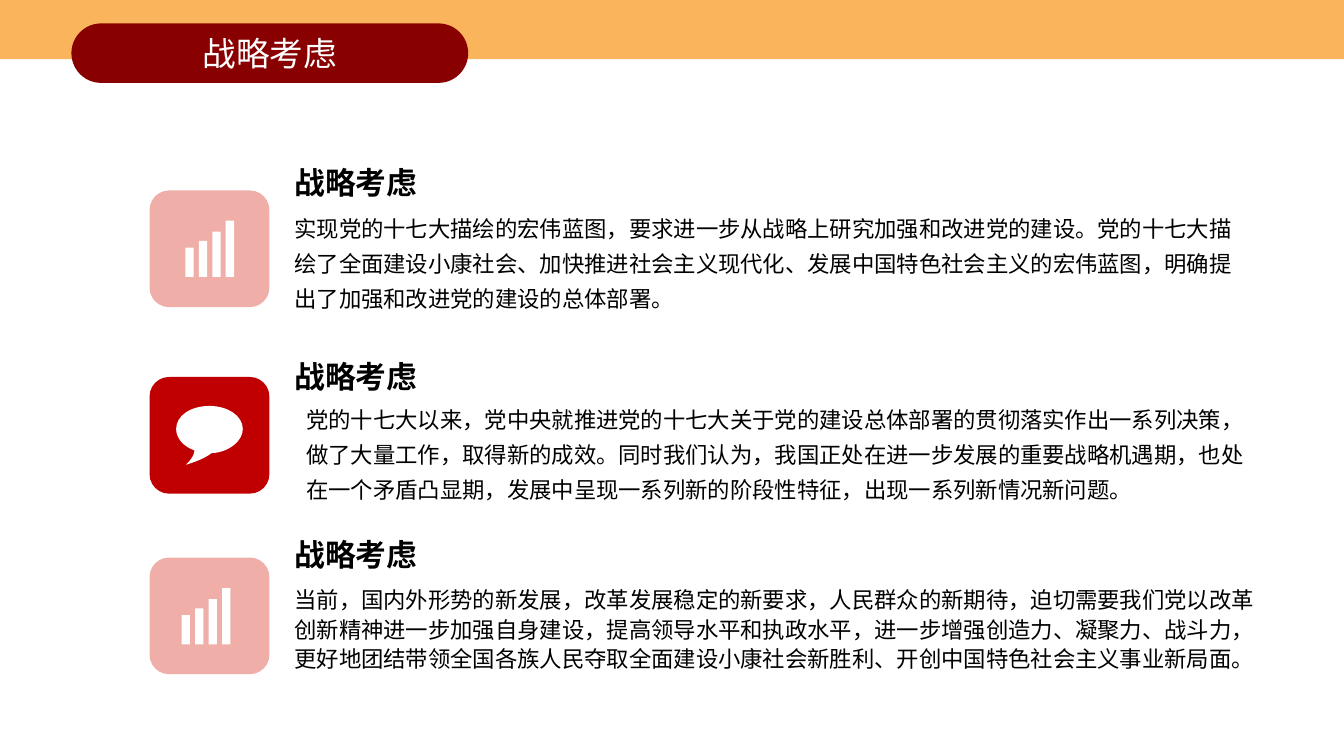
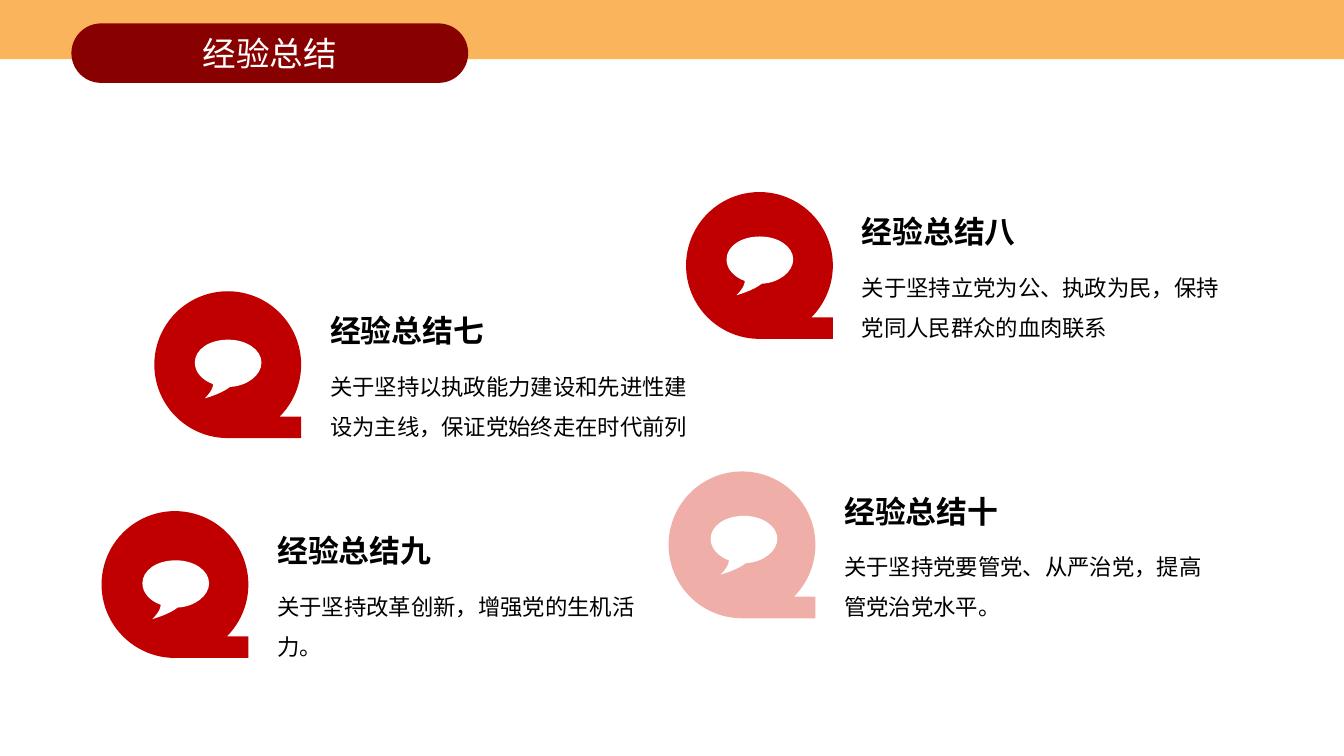
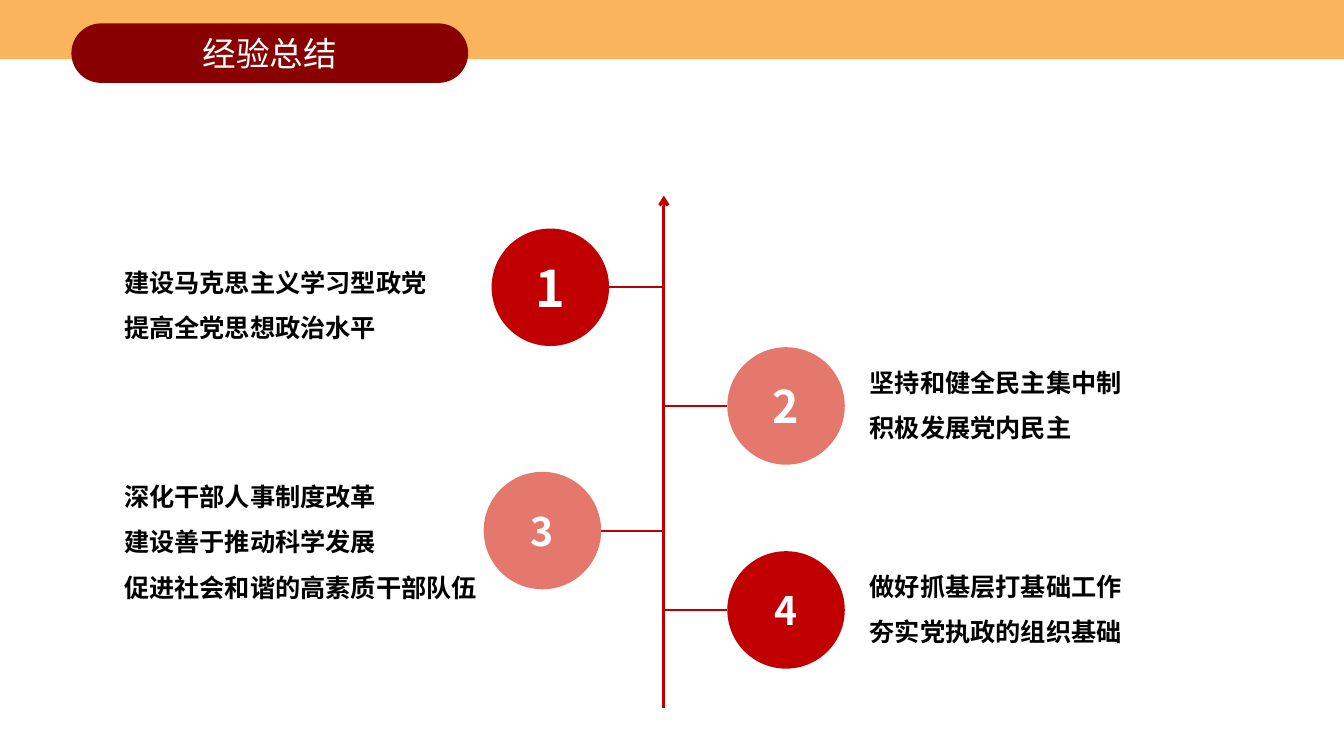
from dataclasses import dataclass

from lxml import etree
from pptx import Presentation
from pptx.dml.color import RGBColor
from pptx.enum.shapes import MSO_CONNECTOR, MSO_SHAPE
from pptx.enum.text import MSO_ANCHOR, MSO_AUTO_SIZE, PP_ALIGN
from pptx.oxml.ns import qn
from pptx.util import Cm, Pt

RECTANGLE = MSO_SHAPE.RECTANGLE
ROUNDED = MSO_SHAPE.ROUNDED_RECTANGLE
OVAL = MSO_SHAPE.OVAL
TAPE = MSO_SHAPE.FLOWCHART_SEQUENTIAL_ACCESS_STORAGE
STRAIGHT = MSO_CONNECTOR.STRAIGHT
LEFT, CENTER = PP_ALIGN.LEFT, PP_ALIGN.CENTER
TOP, MIDDLE = MSO_ANCHOR.TOP, MSO_ANCHOR.MIDDLE
FIT = MSO_AUTO_SIZE.SHAPE_TO_FIT_TEXT


@dataclass(frozen=True)
class Theme:
    font: str = "Noto Sans CJK SC"
    band: str = "F9B45C"
    title_pill: str = "890000"
    red: str = "C00000"
    coral: str = "E4786C"
    pink: str = "EFAEA7"
    white: str = "FFFFFF"
    black: str = "000000"
    title: int = 24
    heading: int = 22
    label: int = 18
    body: int = 16


theme = Theme()


def add_block(slide, preset, left, top, width, height, color):
    shape = slide.shapes.add_shape(preset, Cm(left), Cm(top), Cm(width), Cm(height))
    shape.shadow.inherit = False
    shape.fill.solid()
    shape.fill.fore_color.rgb = RGBColor.from_string(color)
    shape.line.fill.background()
    return shape


def write_text(shape, lines, size, color=theme.black, bold=False, spacing=1.0, align=LEFT, anchor=TOP):
    frame = shape.text_frame
    frame.word_wrap = True
    frame.vertical_anchor = anchor
    if anchor == TOP:
        frame.auto_size = FIT
    for index, line in enumerate(lines):
        paragraph = frame.add_paragraph() if index else frame.paragraphs[0]
        paragraph.alignment = align
        paragraph.line_spacing = spacing
        run = paragraph.add_run()
        run.text = line
        run.font.size = Pt(size)
        run.font.bold = bold
        run.font.color.rgb = RGBColor.from_string(color)
        run.font.name = theme.font
        etree.SubElement(run._r.get_or_add_rPr(), qn("a:ea"), typeface=theme.font)


presentation = Presentation()
presentation.slide_width = Cm(33.87)
presentation.slide_height = Cm(19.05)
blank_layout = presentation.slide_layouts[6]
strategy_slide, lessons_slide, timeline_slide = [presentation.slides.add_slide(blank_layout) for _ in range(3)]

for top, color in ((4.8, theme.pink), (14.05, theme.pink), (9.5, theme.red)):
    add_block(strategy_slide, ROUNDED, 3.77, top, 3.02, 2.94, color)

for left, baseline in ((4.67, 6.98), (4.58, 16.24)):
    for index, height in enumerate((0.74, 0.91, 1.14, 1.42)):
        add_block(strategy_slide, RECTANGLE, left + index * 0.34, baseline - height, 0.21, height, theme.white)

strategies = (
    (3.71, 1.37, 1.3, 7.17, 5.1, 24.51, 2.92, 1.3,
     "实现党的十七大描绘的宏伟蓝图，要求进一步从战略上研究加强和改进党的建设。党的十七大描绘了全面建设小康社会、加快推进社会主义现代化、发展中国特色社会主义的宏伟蓝图，明确提出了加强和改进党的建设的总体部署。"),
    (8.61, 1.37, 1.3, 7.47, 9.91, 24.57, 2.92, 1.3,
     "党的十七大以来，党中央就推进党的十七大关于党的建设总体部署的贯彻落实作出一系列决策，做了大量工作，取得新的成效。同时我们认为，我国正处在进一步发展的重要战略机遇期，也处在一个矛盾凸显期，发展中呈现一系列新的阶段性特征，出现一系列新情况新问题。"),
    (13.38, 1.19, 1.0, 7.17, 14.58, 24.87, 2.51, 1.1,
     "当前，国内外形势的新发展，改革发展稳定的新要求，人民群众的新期待，迫切需要我们党以改革创新精神进一步加强自身建设，提高领导水平和执政水平，进一步增强创造力、凝聚力、战斗力，更好地团结带领全国各族人民夺取全面建设小康社会新胜利、开创中国特色社会主义事业新局面。"),
)
for heading_top, heading_height, heading_spacing, left, top, width, height, spacing, text in strategies:
    heading = strategy_slide.shapes.add_textbox(Cm(7.17), Cm(heading_top), Cm(5.31), Cm(heading_height))
    write_text(heading, ["战略考虑"], theme.heading, bold=True, spacing=heading_spacing)
    body = strategy_slide.shapes.add_textbox(Cm(left), Cm(top), Cm(width), Cm(height))
    write_text(body, [text], theme.body, spacing=spacing)

lessons = (
    (3.89, 7.34, theme.red, "经验总结七", "关于坚持以执政能力建设和先进性建设为主线，保证党始终走在时代前列"),
    (16.85, 11.88, theme.pink, "经验总结十", "关于坚持党要管党、从严治党，提高管党治党水平。"),
    (17.29, 4.84, theme.red, "经验总结八", "关于坚持立党为公、执政为民，保持党同人民群众的血肉联系"),
    (2.56, 12.88, theme.red, "经验总结九", "关于坚持改革创新，增强党的生机活力。"),
)
for left, top, color, title, text in lessons:
    add_block(lessons_slide, TAPE, left, top, 3.7, 3.7, color)
    heading = lessons_slide.shapes.add_textbox(Cm(left + 4.18), Cm(top + 0.4), Cm(5.31), Cm(1.19))
    write_text(heading, [title], theme.heading, bold=True)
    body = lessons_slide.shapes.add_textbox(Cm(left + 4.18), Cm(top + 1.6), Cm(9.83), Cm(2.18))
    write_text(body, [text], theme.body, spacing=1.5)

bubble_start = (1.68, 0.58)
bubble_curves = (
    ((1.68, 0.25), (1.3, 0), (0.84, 0)),
    ((0.36, 0), (0, 0.25), (0, 0.58)),
    ((0, 0.81), (0.18, 1.02), (0.46, 1.12)),
    ((0.46, 1.19), (0.43, 1.3), (0.25, 1.48)),
    ((0.25, 1.48), (0.66, 1.37), (0.89, 1.19)),
    ((1.32, 1.17), (1.68, 0.89), (1.68, 0.58)),
)
bubbles = (
    (strategy_slide, 4.44, 10.23),
    (lessons_slide, 17.91, 13),
    (lessons_slide, 18.31, 5.96),
    (lessons_slide, 4.91, 8.56),
    (lessons_slide, 3.59, 14.12),
)
for slide, left, top in bubbles:
    corners = [(Cm(left + x), Cm(top + y)) for x, y in (bubble_start, *[curve[-1] for curve in bubble_curves])]
    builder = slide.shapes.build_freeform(*corners[0])
    builder.add_line_segments(corners[1:], close=True)
    bubble = builder.convert_to_shape()
    for segment, curve in zip(list(bubble._element.spPr.iter(qn("a:lnTo"))), bubble_curves):
        bezier = etree.Element(qn("a:cubicBezTo"))
        for x, y in curve:
            etree.SubElement(bezier, qn("a:pt"), x=str(int(Cm(x))), y=str(int(Cm(y))))
        segment.getparent().replace(segment, bezier)
    bubble.shadow.inherit = False
    bubble.fill.solid()
    bubble.fill.fore_color.rgb = RGBColor.from_string(theme.white)
    bubble.line.fill.background()

axis_x = 16.73
diameter = 2.96
milestones = (
    (12.39, 5.76, theme.red, 36, 2.88, 6.22, 9.04, ("建设马克思主义学习型政党", "提高全党思想政治水平")),
    (18.33, 8.75, theme.coral, 32, 21.67, 8.74, 9.53, ("坚持和健全民主集中制", "积极发展党内民主")),
    (12.19, 11.89, theme.coral, 28, 2.88, 11.62, 9.47,
     ("深化干部人事制度改革", "建设善于推动科学发展", "促进社会和谐的高素质干部队伍")),
    (18.33, 13.89, theme.red, 28, 21.67, 13.89, 7.42, ("做好抓基层打基础工作", "夯实党执政的组织基础")),
)

lines = [(axis_x, 17.85, axis_x, 4.93, 2.25)]
for left, top, *rest in milestones:
    middle = top + diameter / 2
    if left < axis_x:
        lines.append((left + diameter, middle, axis_x, middle, 1.5))
    else:
        lines.append((axis_x, middle, left, middle, 1.5))

for index, (begin_x, begin_y, end_x, end_y, weight) in enumerate(lines):
    connector = timeline_slide.shapes.add_connector(STRAIGHT, Cm(begin_x), Cm(begin_y), Cm(end_x), Cm(end_y))
    connector.line.color.rgb = RGBColor.from_string(theme.red)
    connector.line.width = Pt(weight)
    properties = connector._element.spPr
    if index == 0:
        etree.SubElement(properties.find(qn("a:ln")), qn("a:tailEnd"), type="arrow")
    etree.SubElement(properties, qn("a:effectLst"))

for number, (left, top, color, size, text_left, text_top, text_width, texts) in enumerate(milestones, 1):
    circle = add_block(timeline_slide, OVAL, left, top, diameter, diameter, color)
    write_text(circle, [str(number)], size, theme.white, bold=True, align=CENTER, anchor=MIDDLE)
    label = timeline_slide.shapes.add_textbox(Cm(text_left), Cm(text_top), Cm(text_width), Cm(1.22 * len(texts)))
    write_text(label, texts, theme.label, bold=True, spacing=1.5)

for slide, title in zip(presentation.slides, ("战略考虑", "经验总结", "经验总结")):
    add_block(slide, RECTANGLE, -0.03, 0, 33.96, 1.49, theme.band)
    pill = add_block(slide, ROUNDED, 1.8, 0.59, 10, 1.5, theme.title_pill)
    pill.adjustments[0] = 0.5
    write_text(pill, [title], theme.title, theme.white, align=CENTER, anchor=MIDDLE)

presentation.save("out.pptx")
